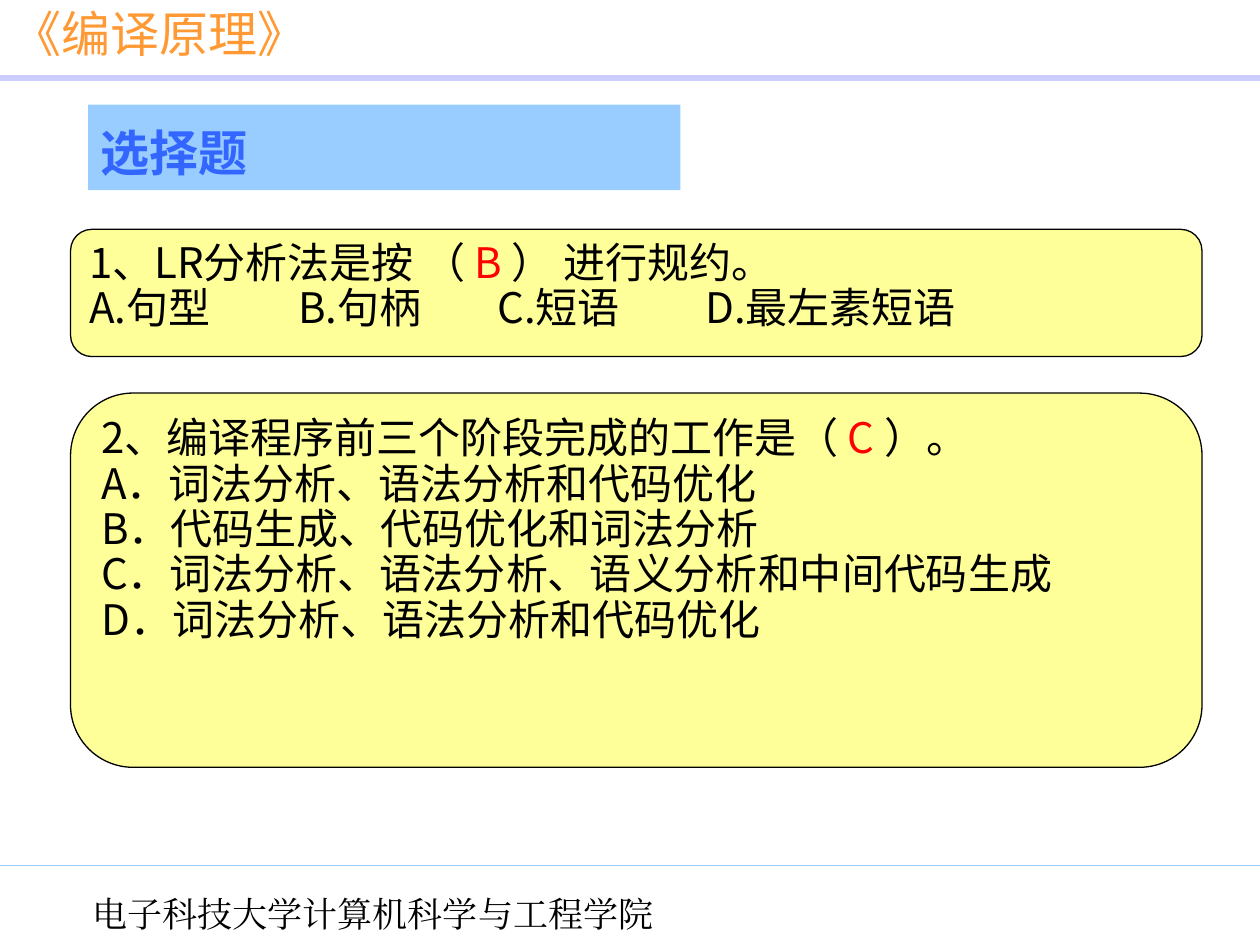
from lxml.etree import SubElement
from pptx import Presentation
from pptx.dml.color import RGBColor
from pptx.enum.shapes import MSO_CONNECTOR, MSO_SHAPE
from pptx.enum.text import MSO_ANCHOR, MSO_AUTO_SIZE, PP_ALIGN
from pptx.oxml.ns import qn
from pptx.util import Inches, Pt

THEME = {
    "sans": "Noto Sans CJK SC", "course_font": "Noto Sans CJK JP",
    "serif": "Times New Roman",
    "heading_size": 28, "body_size": 24, "footer_size": 20,
    "orange": "FF9933", "blue": "3366FF", "black": "000000", "red": "FF0000",
    "heading_fill": "99CCFF", "question_fill": "FFFF99",
    "top_rule": "CCCCFF", "bottom_rule": "99CCFF",
}
CORNER = 0.167


def color(name):
    return RGBColor.from_string(THEME[name])


def style(paragraph, font_name, size, color_name, spacing=1.0, align=PP_ALIGN.LEFT):
    paragraph.alignment = align
    paragraph.line_spacing = spacing
    paragraph.space_before = Pt(0)
    font = paragraph.font
    font.size = Pt(THEME[size])
    font.color.rgb = color(color_name)
    font.name = THEME[font_name]
    # East Asian characters use the same typeface
    SubElement(font._element, qn("a:ea"), typeface=THEME[font_name])


prs = Presentation()
prs.slide_width, prs.slide_height = Inches(10), Inches(7.5)
W, H = prs.slide_width, prs.slide_height
slide = prs.slides.add_slide(prs.slide_layouts[5])
shapes = slide.shapes

# Rules across the top and bottom
for y, rule_color, weight in ((0.62, "top_rule", 3), (6.87, "bottom_rule", 0.75)):
    rule = shapes.add_connector(MSO_CONNECTOR.STRAIGHT, 0, Inches(y), W, Inches(y))
    rule.line.color.rgb = color(rule_color)
    rule.line.width = Pt(weight)
    SubElement(rule._element.spPr, qn("a:effectLst"))

# Course name and school name
for words, top, width, height, font_name, size, text_color, spacing, align in (
    ("《编译原理》", 0, 3.75, 0.58, "course_font", "heading_size", "orange", 0.9, PP_ALIGN.LEFT),
    ("电子科技大学计算机科学与工程学院", 7, 5.92, 0.5, "serif", "footer_size", "black", 1.0,
     PP_ALIGN.CENTER),
):
    band = shapes.add_textbox(0, Inches(top), Inches(width), Inches(height)).text_frame
    band.word_wrap = True
    band.vertical_anchor = MSO_ANCHOR.MIDDLE
    band.text = words
    style(band.paragraphs[0], font_name, size, text_color, spacing, align)

# Heading on a rounded panel
heading = shapes.title
heading.left, heading.top = Inches(0.7), Inches(0.83)
heading.width, heading.height = Inches(4.7), Inches(0.68)
outline = SubElement(heading._element.spPr, qn("a:prstGeom"), prst="roundRect")
corners = SubElement(outline, qn("a:avLst"))
SubElement(corners, qn("a:gd"), name="adj", fmla=f"val {CORNER * 100000:.0f}")
heading.fill.solid()
heading.fill.fore_color.rgb = color("heading_fill")
heading.text_frame.text = "选择题"
heading.text_frame.auto_size = MSO_AUTO_SIZE.NONE
heading.text_frame.vertical_anchor = MSO_ANCHOR.TOP
heading_line = heading.text_frame.paragraphs[0]
style(heading_line, "sans", "heading_size", "blue", 1.2)
heading_line.font.bold = True

# Questions: top, height, (before, answer, after), option lines
questions = (
    (1.82, 1.01, ("1、LR分析法是按 （ ", "B ", "） 进行规约。"),
     ("A.句型\tB.句柄\tC.短语\tD.最左素短语",)),
    (3.12, 2.97, ("2、编译程序前三个阶段完成的工作是（ ", "C ", "）。"),
     ("A．词法分析、语法分析和代码优化",
      "B．代码生成、代码优化和词法分析",
      "C．词法分析、语法分析、语义分析和中间代码生成",
      "D．词法分析、语法分析和代码优化")),
)
OPTION_TABS = (1.66, 3.24, 4.89)

for top, height, stem, options in questions:
    panel = shapes.add_shape(MSO_SHAPE.ROUNDED_RECTANGLE, Inches(0.56), Inches(top),
                             Inches(8.98), Inches(height))
    panel.adjustments[0] = CORNER
    panel.shadow.inherit = False
    panel.fill.solid()
    panel.fill.fore_color.rgb = color("question_fill")
    panel.line.color.rgb = color("black")
    panel.line.width = Pt(0.75)
    frame = panel.text_frame
    frame.word_wrap = True
    frame.vertical_anchor = MSO_ANCHOR.TOP

    stem_line = frame.paragraphs[0]
    for part in stem:
        stem_line.add_run().text = part
    stem_line.runs[1].font.color.rgb = color("red")
    style(stem_line, "sans", "body_size", "black", 0.9, PP_ALIGN.JUSTIFY)

    for option in options:
        option_line = frame.add_paragraph()
        option_line.add_run().text = option
        if "\t" in option:
            tabs = SubElement(option_line._p.get_or_add_pPr(), qn("a:tabLst"))
            for stop in OPTION_TABS:
                SubElement(tabs, qn("a:tab"), pos=str(Inches(stop)), algn="l")
        style(option_line, "sans", "body_size", "black", 0.9, PP_ALIGN.JUSTIFY)

prs.save("out.pptx")
